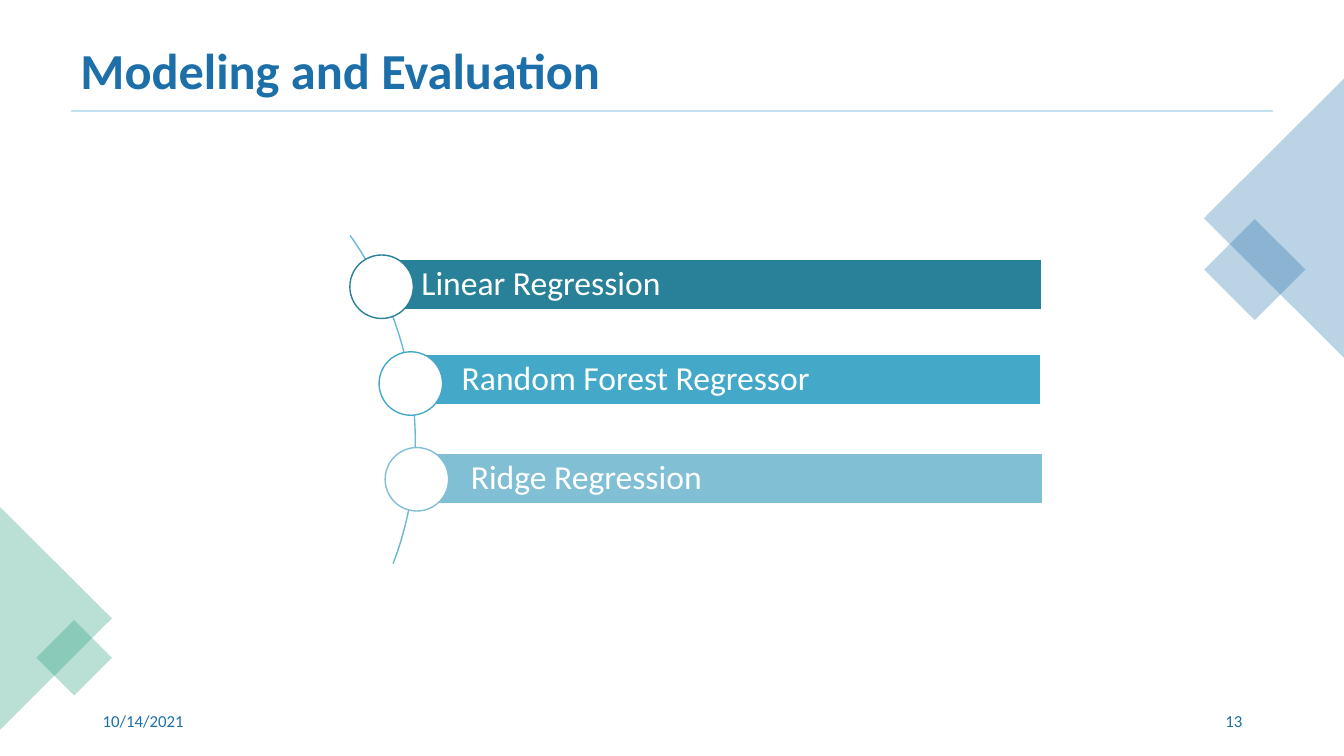
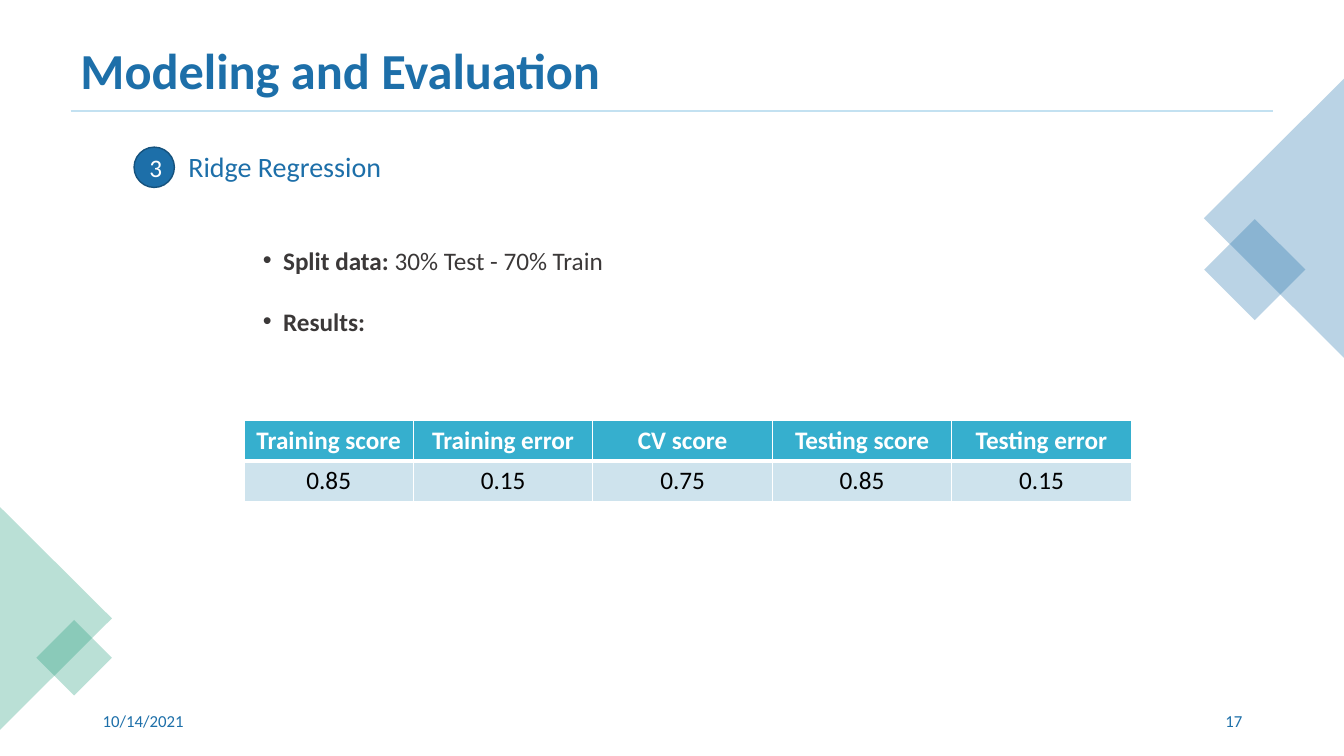
from dataclasses import dataclass

import pptx
import pptx.dml.color
import pptx.enum.shapes
import pptx.enum.text
import pptx.oxml.ns
import pptx.oxml.xmlchemy
import pptx.util
from lxml import etree

Inches = pptx.util.Inches
Pt = pptx.util.Pt
SHAPE = pptx.enum.shapes.MSO_SHAPE
ALIGN = pptx.enum.text.PP_ALIGN
ANCHOR = pptx.enum.text.MSO_ANCHOR
qn = pptx.oxml.ns.qn

BLUE, GREEN, WHITE, DARK = "1D6FA9", "1D9A78", "FFFFFF", "3B3838"
RULE, ARC = "C3E1F1", "67B9D4"
TITLE = {"size": Pt(36), "bold": True}
FOOTER = {"size": Pt(12)}
HEADING = {"size": Pt(20)}
BODY = {"size": Pt(18)}
STRONG = {"size": Pt(18), "bold": True}
STEP = {"size": Pt(24)}


@dataclass(frozen=True)
class Box:
    x: float
    y: float
    w: float
    h: float

    def emu(self) -> tuple:
        return tuple(Inches(v) for v in (self.x, self.y, self.w, self.h))


@dataclass(frozen=True)
class Decor:
    shape: int
    box: Box
    rotation: int
    colour: str


@dataclass(frozen=True)
class Step:
    text: str
    bar: Box
    circle_x: float
    circle_y: float
    colour: str


DECOR = [
    Decor(SHAPE.RECTANGLE, Box(12.09, 2.32, 0.71, 0.71), 45, BLUE),
    Decor(SHAPE.ISOSCELES_TRIANGLE, Box(11.25, 1.47, 2.77, 1.39), 270, BLUE),
    Decor(SHAPE.ISOSCELES_TRIANGLE, Box(-0.55, 5.58, 2.21, 1.11), 90, GREEN),
    Decor(SHAPE.RECTANGLE, Box(0.47, 6.26, 0.53, 0.53), 45, GREEN),
]
STEPS = [
    Step("Linear Regression", Box(3.78, 2.57, 6.55, 0.5), 3.47, 2.53, "288198"),
    Step("Random Forest Regressor", Box(4.18, 3.52, 6.14, 0.5), 3.76, 3.49, "44A9C8"),
    Step("Ridge Regression", Box(4.27, 4.5, 6.07, 0.5), 3.82, 4.44, "81BFD5"),
]
SCORES = [
    ("Training score", "0.85"),
    ("Training error", "0.15"),
    ("CV score", "0.75"),
    ("Testing score", "0.85"),
    ("Testing error", "0.15"),
]


def rgb(colour: str):
    return pptx.dml.color.RGBColor.from_string(colour)


def add_run(p, text: str, fmt: dict, colour: str) -> None:
    r = p.add_run()
    r.text = text
    for name, value in {"name": "Calibri", **fmt}.items():
        setattr(r.font, name, value)
    r.font.color.rgb = rgb(colour)


def write(sp, text: str, fmt: dict, colour: str, align=ALIGN.LEFT, **frame) -> None:
    tf = sp.text_frame
    options = {"word_wrap": True, "vertical_anchor": ANCHOR.MIDDLE, **frame}
    for name, value in options.items():
        setattr(tf, name, value)
    p = tf.paragraphs[0]
    p.alignment = align
    add_run(p, text, fmt, colour)


def add_text(s, box: Box, text: str, fmt: dict, colour: str, **options):
    sp = s.shapes.add_textbox(*box.emu())
    write(sp, text, fmt, colour, **options)
    return sp


def add_shape(s, kind, box: Box, fill: str = "", line: str = "", rotation: float = 0):
    sp = s.shapes.add_shape(kind, *box.emu())
    sp.shadow.inherit = False
    sp.rotation = rotation
    if fill:
        sp.fill.solid()
        sp.fill.fore_color.rgb = rgb(fill)
    else:
        sp.fill.background()
    if line:
        sp.line.color.rgb = rgb(line)
        sp.line.width = Pt(1)
    else:
        sp.line.fill.background()
    return sp


def add_base(prs, number: str):
    s = prs.slides.add_slide(prs.slide_layouts[6])
    title = add_text(s, Box(0.7, 0.35, 11.93, 0.75), "Modeling and Evaluation", TITLE, BLUE)
    title.text_frame.paragraphs[0].line_spacing = 0.9
    for d in DECOR:
        sp = add_shape(s, d.shape, d.box, d.colour, rotation=d.rotation)
        clr = next(sp.fill._xPr.iter(qn("a:srgbClr")))
        etree.SubElement(clr, qn("a:alpha"), val="30000")
    rule = s.shapes.add_connector(
        pptx.enum.shapes.MSO_CONNECTOR.STRAIGHT,
        Inches(0.7), Inches(1.1), Inches(12.63), Inches(1.1),
    )
    rule.line.color.rgb = rgb(RULE)
    rule.line.width = Pt(1.25)
    etree.SubElement(rule._element.spPr, qn("a:effectLst"))
    add_text(s, Box(0.92, 6.95, 3, 0.4), "10/14/2021", FOOTER, BLUE)
    add_text(s, Box(9.42, 6.95, 3, 0.4), number, FOOTER, BLUE, align=ALIGN.RIGHT)
    return s


def add_steps(s) -> None:
    for step in STEPS:
        bar = add_shape(s, SHAPE.RECTANGLE, step.bar, step.colour, WHITE)
        write(bar, step.text, STEP, WHITE, margin_left=Inches(0.4))
        bar.text_frame.paragraphs[0].line_spacing = 0.9
    arc = add_shape(s, SHAPE.ARC, Box(-1.14, 1.12, 5.24, 6.15), line=ARC, rotation=348.6)
    for i, degrees in enumerate((328.4, 41.4)):
        arc.adjustments[i] = degrees * 0.6
    for step in STEPS:
        circle = Box(step.circle_x, step.circle_y, 0.63, 0.63)
        add_shape(s, SHAPE.OVAL, circle, WHITE, step.colour)


def add_bullet(p, label: str, text: str = "") -> None:
    pPr = p._p.get_or_add_pPr()
    pPr.set("marL", str(Inches(0.2)))
    pPr.set("indent", str(-Inches(0.2)))
    etree.SubElement(pPr, qn("a:buFont"), typeface="Arial")
    etree.SubElement(pPr, qn("a:buChar"), char="•")
    add_run(p, label, STRONG, DARK)
    if text:
        add_run(p, text, BODY, DARK)


def add_border(cell, side: str, width: float) -> None:
    ln = etree.SubElement(cell._tc.get_or_add_tcPr(), qn(f"a:ln{side}"), w=str(Pt(width)))
    fill = etree.SubElement(ln, qn("a:solidFill"))
    etree.SubElement(fill, qn("a:srgbClr"), val=WHITE)


def fill_cell(cell, text: str, header: bool) -> None:
    widths = {"L": 1, "R": 1, "T": 1 if header else 3, "B": 3 if header else 1}
    for side, width in widths.items():
        add_border(cell, side, width)
    cell.fill.solid()
    cell.fill.fore_color.rgb = rgb("36AFCE" if header else "CEE3ED")
    p = cell.text_frame.paragraphs[0]
    p.alignment = ALIGN.CENTER
    fmt = {**BODY, "bold": header}
    add_run(p, text, fmt, WHITE if header else "000000")


def add_scores(s) -> None:
    table = s.shapes.add_table(2, len(SCORES), *Box(2.42, 4.17, 8.8, 0.81).emu()).table
    for row, height in zip(table.rows, (0.4, 0.41)):
        row.height = Inches(height)
    for c, score in enumerate(SCORES):
        table.columns[c].width = Inches(1.78 if c else 1.68)
        for r, text in enumerate(score):
            fill_cell(table.cell(r, c), text, header=r == 0)


def add_results(s) -> None:
    badge = add_shape(
        s, SHAPE.FLOWCHART_CONNECTOR, Box(1.33, 1.46, 0.4, 0.4), BLUE, "15527D"
    )
    write(badge, "3", BODY, WHITE, align=ALIGN.CENTER, word_wrap=False,
          margin_left=Inches(0.03), margin_right=0, margin_top=0, margin_bottom=0)
    add_text(s, Box(1.77, 1.43, 4.66, 0.44), "Ridge Regression", HEADING, BLUE,
             vertical_anchor=ANCHOR.TOP)
    tf = s.shapes.add_textbox(*Box(2.51, 2.38, 7.14, 1.28).emu()).text_frame
    tf.word_wrap = True
    add_bullet(tf.paragraphs[0], "Split data: ", "30% Test - 70% Train")
    p = tf.add_paragraph()
    p.space_before = Pt(22)
    add_bullet(p, "Results:")
    add_scores(s)


def main() -> None:
    prs = pptx.Presentation()
    prs.slide_width = Inches(13.33)
    prs.slide_height = Inches(7.5)
    add_steps(add_base(prs, "13"))
    add_results(add_base(prs, "17"))
    prs.save("out.pptx")


if __name__ == "__main__":
    main()
